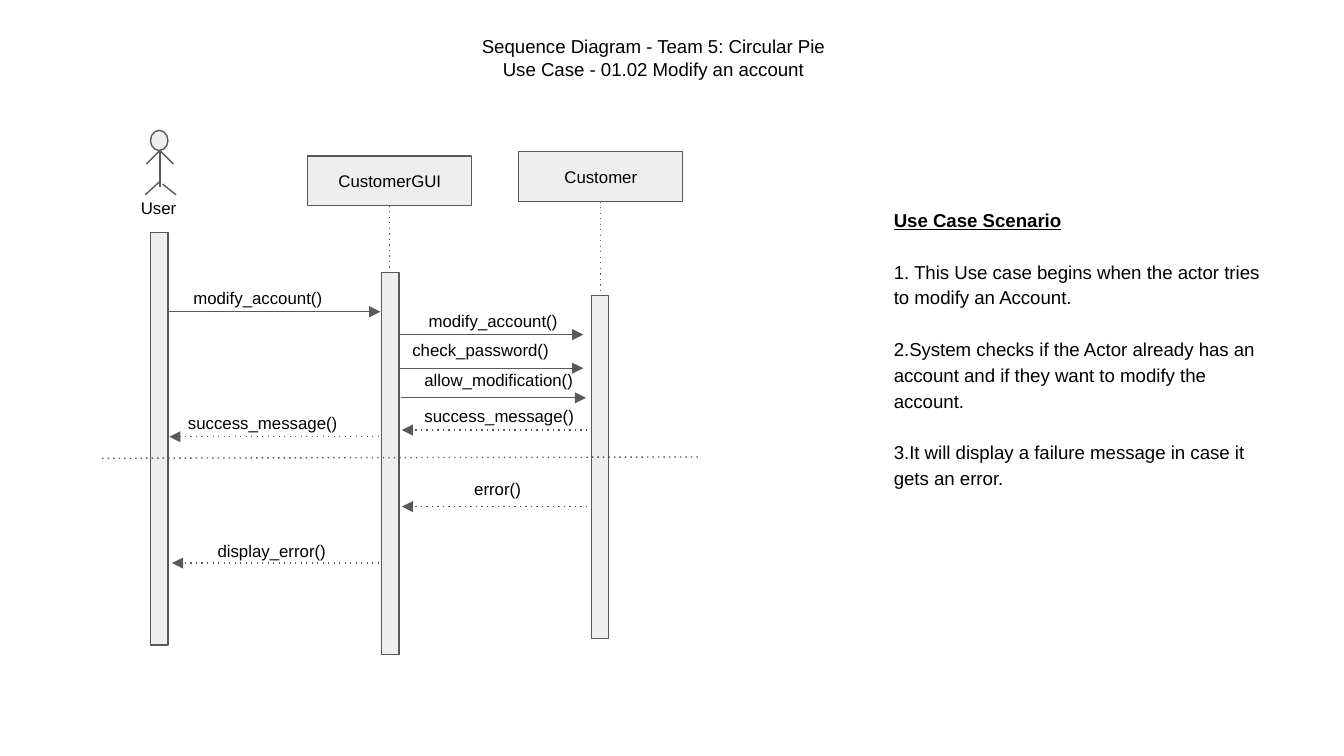
from pptx import Presentation
from pptx.dml.color import RGBColor
from pptx.enum.shapes import MSO_CONNECTOR, MSO_SHAPE
from pptx.enum.text import MSO_ANCHOR, MSO_AUTO_SIZE, PP_ALIGN
from pptx.oxml.ns import qn
from pptx.util import Inches, Pt
from lxml import etree

STRAIGHT = MSO_CONNECTOR.STRAIGHT
RECT, OVAL = MSO_SHAPE.RECTANGLE, MSO_SHAPE.OVAL
TOP, MIDDLE = MSO_ANCHOR.TOP, MSO_ANCHOR.MIDDLE
LEFT, CENTER = PP_ALIGN.LEFT, PP_ALIGN.CENTER
NO_FIT = MSO_AUTO_SIZE.NONE

COLORS = {"fill": "EEEEEE", "line": "595959", "text": "000000"}

TITLE = ["Sequence Diagram - Team 5: Circular Pie",
         "Use Case - 01.02 Modify an account"]
SCENARIO = [
    "Use Case Scenario",
    "1. This Use case begins when the actor tries to modify an Account.",
    "2.System checks if the Actor already has an account and if they want to modify the account.",
    "3.It will display a failure message in case it gets an error.",
]

BAR_W = 0.13
BARS = [(1.12, 1.73, 3.07), (2.84, 2.03, 2.84), (4.4, 2.2, 2.55)]
HEAD_W, HEAD_H = 1.22, 0.37
HEADS = [("CustomerGUI", 2.29, 1.16, 2.03), ("Customer", 3.86, 1.13, 2.2)]
LIMBS = [
    (1.19, 1.12, 1.19, 1.39),
    (1.29, 1.22, 1.19, 1.12),
    (1.19, 1.12, 1.09, 1.22),
    (1.19, 1.35, 1.08, 1.45),
    (1.21, 1.37, 1.31, 1.45),
]
DIVIDER = (0.76, 3.41, 5.2, 3.4)
LABEL_H = 0.35
MESSAGES = [
    ("modify_account()", 1.26, 2.83, 2.32, (1.34, 2.07, 1.27)),
    ("modify_account()", 2.97, 4.34, 2.49, (3.09, 2.24, 1.42)),
    ("check_password()", 2.97, 4.34, 2.74, (2.97, 2.46, 1.27)),
    ("allow_modification()", 2.98, 4.36, 2.96, (3.06, 2.68, 1.43)),
    ("success_message()", 4.41, 2.99, 3.2, (3.06, 2.95, 1.38)),
    ("success_message()", 2.82, 1.26, 3.25, (1.3, 3.0, 1.68)),
    ("error()", 4.41, 2.99, 3.77, (3.43, 3.49, 0.68)),
    ("display_error()", 2.82, 1.28, 4.19, (1.52, 3.95, 1.22)),
]

prs = Presentation()
prs.slide_width, prs.slide_height = Inches(10), Inches(5.625)
s = prs.slides.add_slide(prs.slide_layouts[1])


def rgb(name):
    return RGBColor.from_string(COLORS[name])


def set_attrs(obj, **values):
    for name, value in values.items():
        setattr(obj, name, value)


def write(sp, lines, size, align=LEFT, anchor=TOP, spacing=1.0, gap=0):
    tf = sp.text_frame
    set_attrs(tf, word_wrap=True, auto_size=NO_FIT, vertical_anchor=anchor,
              **{f"margin_{side}": Inches(0.1) for side in ("left", "top", "right", "bottom")})
    for i, line in enumerate(lines):
        p = tf.paragraphs[0] if i == 0 else tf.add_paragraph()
        set_attrs(p, alignment=align, line_spacing=spacing,
                  space_before=Pt(gap if i else 0), space_after=Pt(0))
        r = p.add_run()
        r.text = line
        set_attrs(r.font, name="Arial", size=Pt(size), bold=False)
        r.font.color.rgb = rgb("text")
    return tf


def place(sp, x, y, w, h):
    set_attrs(sp, left=Inches(x), top=Inches(y), width=Inches(w), height=Inches(h))


def add_box(kind, x, y, w, h):
    sp = s.shapes.add_shape(kind, Inches(x), Inches(y), Inches(w), Inches(h))
    sp.shadow.inherit = False
    sp.fill.solid()
    sp.fill.fore_color.rgb = rgb("fill")
    sp.line.color.rgb = rgb("line")
    sp.line.width = Pt(0.75)
    return sp


def add_label(text, x, y, w):
    sp = s.shapes.add_textbox(Inches(x), Inches(y), Inches(w), Inches(LABEL_H))
    write(sp, [text], 9).margin_top = Inches(0.07)


def add_line(x1, y1, x2, y2, dotted=False, arrow=False):
    c = s.shapes.add_connector(STRAIGHT, Inches(x1), Inches(y1), Inches(x2), Inches(y2))
    c.line.color.rgb = rgb("line")
    c.line.width = Pt(0.75)
    ln = c.line._get_or_add_ln()
    if dotted:
        etree.SubElement(ln, qn("a:prstDash"), val="dot")
    if arrow:
        etree.SubElement(ln, qn("a:tailEnd"), type="triangle", w="med", len="med")
    etree.SubElement(c._element.spPr, qn("a:effectLst"))


title, body = s.placeholders
place(title, 3.32, 0.16, 3.08, 0.54)
write(title, TITLE, 10, align=CENTER)

place(body, 6.55, 1.43, 2.97, 2.31)
tf = write(body, SCENARIO, 10, spacing=1.15, gap=13.8)
set_attrs(tf.paragraphs[0].runs[0].font, bold=True, underline=True)
for p in tf.paragraphs:
    pPr = p._p.get_or_add_pPr()
    pPr.set("marL", "0")
    pPr.set("indent", "0")
    etree.SubElement(pPr, qn("a:buNone"))

add_box(OVAL, 1.12, 0.97, 0.13, 0.15)
for limb in LIMBS:
    add_line(*limb)
add_label("User", 0.95, 1.4, 0.77)

for text, x1, x2, y, label in MESSAGES:
    add_line(x1, y, x2, y, dotted=x2 < x1, arrow=True)
    add_label(text, *label)

for x, y, h in BARS:
    add_box(RECT, x, y, BAR_W, h)
for name, x, y, bar_top in HEADS:
    center = x + HEAD_W / 2
    add_line(center, y + HEAD_H, center, bar_top, dotted=True)
    write(add_box(RECT, x, y, HEAD_W, HEAD_H), [name], 9, align=CENTER, anchor=MIDDLE)

add_line(*DIVIDER, dotted=True)

prs.save("out.pptx")
